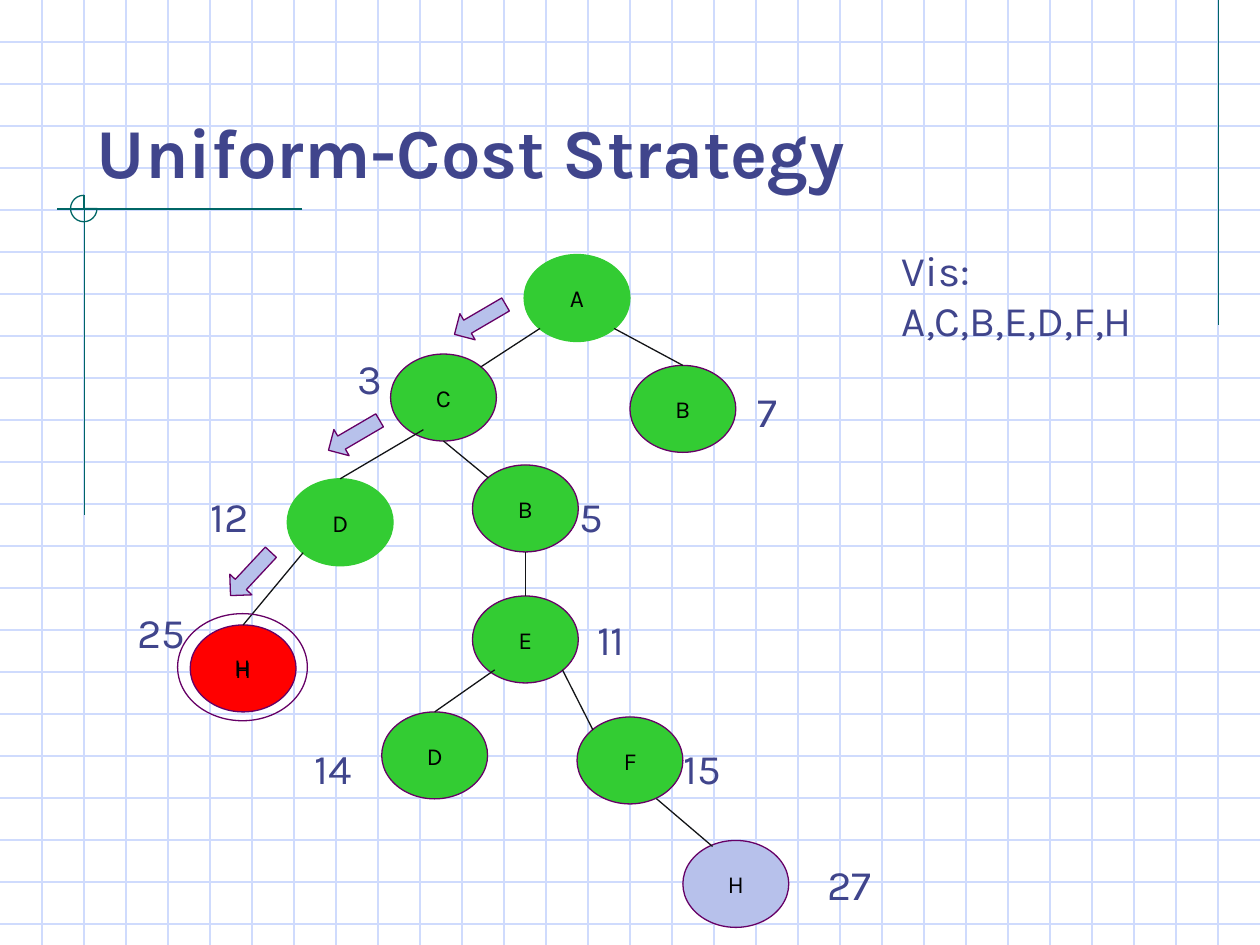
from lxml.etree import SubElement
from pptx import Presentation
from pptx.dml.color import RGBColor
from pptx.enum.shapes import MSO_CONNECTOR, MSO_SHAPE
from pptx.enum.text import MSO_ANCHOR, PP_ALIGN
from pptx.oxml.ns import qn
from pptx.util import Inches, Pt

W, H = 10, 7.5
CELL = 1 / 3
NODE_W, NODE_H = 0.84, 0.69
LABEL_W, LABEL_H = 0.72, 0.61
FONT = "Karla"
GRID, TEAL, INK, EDGE = "CFDBFD", "006666", "40458C", "131417"
GREEN, RED, LILAC, PURPLE, BLACK = "33CC33", "FF0000", "B7C1EB", "660066", "000000"

# Tree nodes: key -> (letter, left, top, fill, outline)
NODES = {
    "C": ("C", 3.10, 2.81, GREEN, PURPLE),
    "A": ("A", 4.16, 2.02, GREEN, GREEN),
    "B7": ("B", 5.00, 2.90, GREEN, PURPLE),
    "D12": ("D", 2.28, 3.80, GREEN, GREEN),
    "B5": ("B", 3.75, 3.69, GREEN, PURPLE),
    "E": ("E", 3.75, 4.73, GREEN, PURPLE),
    "D14": ("D", 3.03, 5.65, GREEN, PURPLE),
    "F": ("F", 4.58, 5.69, GREEN, PURPLE),
    "H25": ("H", 1.51, 4.96, RED, PURPLE),
    "H27": ("H", 5.42, 6.67, LILAC, PURPLE),
}

# Points on a node, as shares of its width and height
TOP, BOTTOM = (0.5, 0), (0.5, 1)
TOP_LEFT, TOP_RIGHT = (0.15, 0.15), (0.85, 0.15)
LOW_LEFT, LOW_RIGHT = (0.15, 0.85), (0.85, 0.85)
EDGES = [
    ("A", LOW_LEFT, "C", TOP_RIGHT),
    ("A", LOW_RIGHT, "B7", TOP),
    ("C", (0.31, 0.87), "D12", TOP),
    ("C", BOTTOM, "B5", TOP_LEFT),
    ("B5", BOTTOM, "E", TOP),
    ("E", (0.21, 0.85), "D14", TOP),
    ("E", LOW_RIGHT, "F", TOP_LEFT),
    ("D12", LOW_LEFT, "H25", TOP),
    ("F", (0.75, 0.94), "H27", (0.28, 0.07)),
]

# Path costs: (text, left, top)
COSTS = [
    ("3", 2.74, 2.70), ("7", 5.91, 2.96), ("12", 1.57, 3.79),
    ("5", 4.50, 3.79), ("11", 4.64, 4.77), ("14", 2.40, 5.79),
    ("15", 5.33, 5.79), ("25", 0.99, 4.71), ("27", 6.47, 6.71),
]

# Arrows along the solution path: (left, top, rotation)
ARROWS = [(3.69, 2.30, 59.7), (2.69, 3.22, 59.7), (1.87, 4.32, 43)]

# Teal rules: (x1, y1, x2, y2)
RULES = [(9.67, 0, 9.67, 2.58), (2.4, 1.66, 0.45, 1.66), (0.67, 1.55, 0.67, 4.09)]


def color(hex_code):
    return RGBColor.from_string(hex_code)


def add_line(s, x1, y1, x2, y2, line):
    c = s.shapes.add_connector(MSO_CONNECTOR.STRAIGHT, *map(Inches, (x1, y1, x2, y2)))
    c.line.color.rgb = color(line)
    c.line.width = Pt(0.75)
    SubElement(c._element.spPr, qn("a:effectLst"))


def add_shape(s, kind, x, y, w, h, fill, line):
    sp = s.shapes.add_shape(kind, *map(Inches, (x, y, w, h)))
    sp.shadow.inherit = False
    if fill:
        sp.fill.solid()
        sp.fill.fore_color.rgb = color(fill)
    else:
        sp.fill.background()
    sp.line.color.rgb = color(line)
    sp.line.width = Pt(0.75)
    return sp


def set_text(sp, text, size, ink, bold=False, align=PP_ALIGN.LEFT,
             anchor=MSO_ANCHOR.TOP, inset_y=0.1):
    tf = sp.text_frame
    tf.text = text
    tf.word_wrap = True
    tf.vertical_anchor = anchor
    tf.margin_left = tf.margin_right = Inches(0.1)
    tf.margin_top = tf.margin_bottom = Inches(inset_y)
    p = tf.paragraphs[0]
    p.alignment = align
    font = p.runs[0].font
    font.name, font.size, font.bold = FONT, Pt(size), bold
    font.color.rgb = color(ink)


def add_text(s, text, x, y, w, h, size, **style):
    set_text(s.shapes.add_textbox(*map(Inches, (x, y, w, h))), text, size, INK, **style)


def add_node(s, letter, x, y, w, h, fill, line):
    sp = add_shape(s, MSO_SHAPE.OVAL, x, y, w, h, fill, line)
    set_text(sp, letter, 14, BLACK, align=PP_ALIGN.CENTER, anchor=MSO_ANCHOR.MIDDLE)


def node_point(key, share):
    _, x, y, _, _ = NODES[key]
    return x + share[0] * NODE_W, y + share[1] * NODE_H


def main():
    prs = Presentation()
    prs.slide_width, prs.slide_height = Inches(W), Inches(H)
    s = prs.slides.add_slide(prs.slide_layouts[6])

    # Graph-paper background
    for i in range(1, int(H / CELL) + 1):
        add_line(s, 0, i * CELL, W, i * CELL, GRID)
    for i in range(1, round(W / CELL)):
        add_line(s, i * CELL, 0, i * CELL, H, GRID)

    # Teal rules and three-quarter circle
    for rule in RULES:
        add_line(s, *rule, TEAL)
    quarter_open = add_shape(s, MSO_SHAPE.PIE, 0.56, 1.55, 0.21, 0.21, None, TEAL)
    quarter_open.adjustments[0] = 0
    quarter_open.adjustments[1] = 270 * 0.6  # 60000 units per degree, scaled by 100000

    # Title and visiting order
    add_text(s, "Uniform-Cost Strategy", 0.67, 0.33, 8.5, 1.25, 40,
             bold=True, anchor=MSO_ANCHOR.BOTTOM, inset_y=0.05)
    add_text(s, "Vis: A,C,B,E,D,F,H", 7.06, 1.84, 2.42, 1.01, 24)

    # Tree
    for letter, x, y, fill, line in NODES.values():
        add_node(s, letter, x, y, NODE_W, NODE_H, fill, line)
    for parent, start, child, end in EDGES:
        add_line(s, *node_point(parent, start), *node_point(child, end), EDGE)
    for cost, x, y in COSTS:
        add_text(s, cost, x, y, LABEL_W, LABEL_H, 24)

    # Solution path and ring around the goal
    for x, y, angle in ARROWS:
        arrow = add_shape(s, MSO_SHAPE.DOWN_ARROW, x, y, 0.24, 0.47, LILAC, PURPLE)
        arrow.rotation = angle
    add_node(s, "H", 1.41, 4.87, 1.03, 0.85, None, PURPLE)

    prs.save("out.pptx")


if __name__ == "__main__":
    main()
